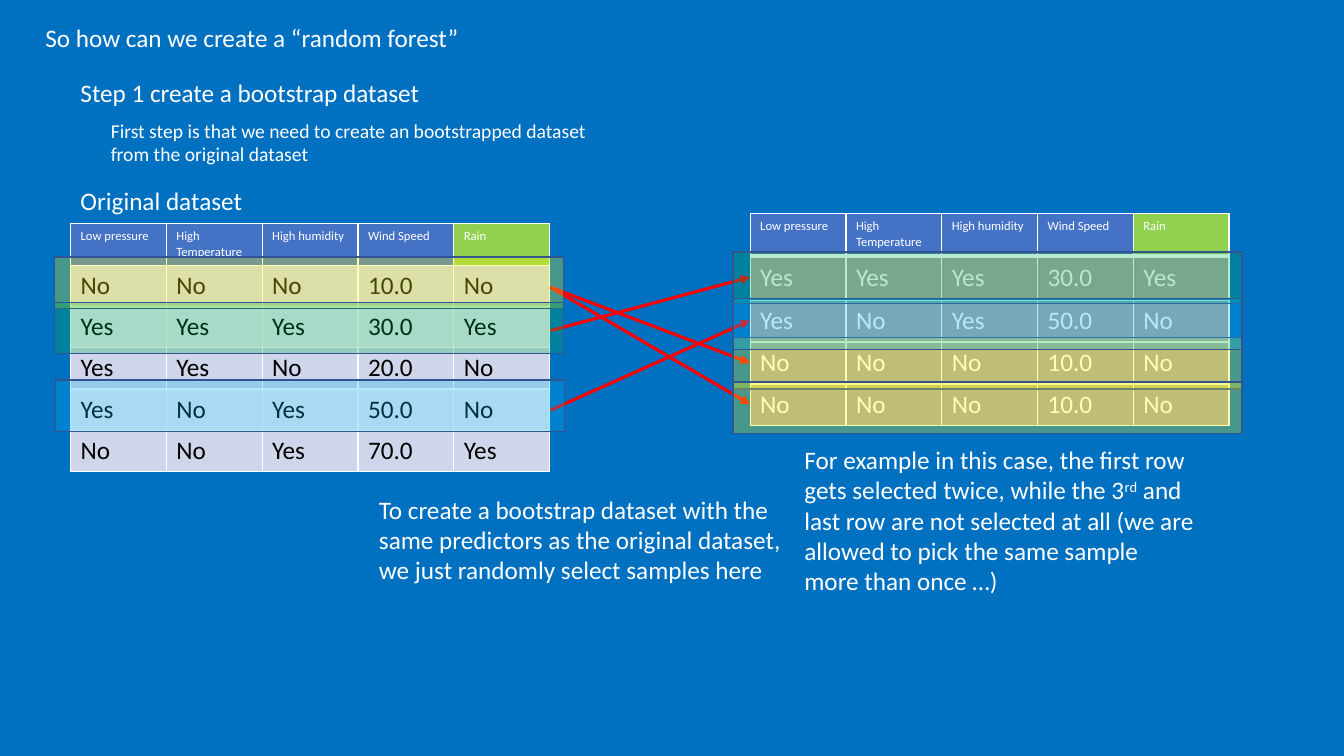
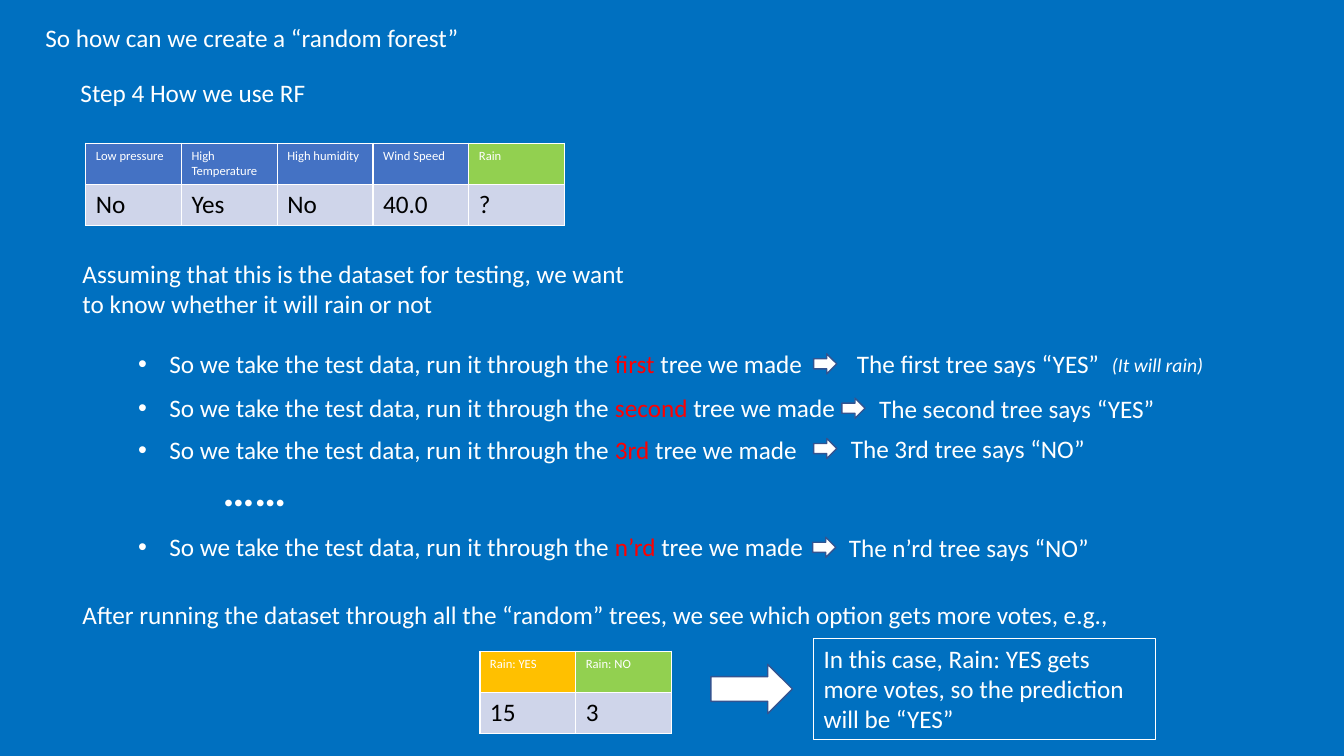
from lxml import etree
from pptx import Presentation
from pptx.dml.color import RGBColor
from pptx.enum.shapes import MSO_CONNECTOR, MSO_SHAPE
from pptx.enum.text import MSO_ANCHOR, MSO_AUTO_SIZE, PP_ALIGN
from pptx.oxml.ns import qn
from pptx.util import Inches, Pt

RECT, ARROW = MSO_SHAPE.RECTANGLE, MSO_SHAPE.RIGHT_ARROW
STRAIGHT = MSO_CONNECTOR.STRAIGHT
TOP, LEFT, NO_FIT = MSO_ANCHOR.TOP, PP_ALIGN.LEFT, MSO_AUTO_SIZE.NONE
TITLE_ONLY, TITLE_AND_BODY = 5, 1

COLORS = {
    "back": "0070C0", "white": "FFFFFF", "black": "000000", "red": "FF0000",
    "head": "4472C4", "target": "92D050", "amber": "FFC000",
    "band1": "CFD5EA", "band2": "E9EBF5", "gray": "A6A6A6",
    "yellow": "FFFF00", "green": "00B050", "sky": "00B0F0", "edge": "325491",
}
FONT = {"name": "Calibri", "size": 18, "bold": False, "italic": False, "color": "white"}
FRAME = {"word_wrap": True, "auto_size": NO_FIT, "vertical_anchor": TOP}
PARA = {"alignment": LEFT, "space_before": Pt(0)}
TITLE = "So how can we create a “random forest”"
HEADERS = ["Low pressure", "High Temperature", "High humidity", "Wind Speed", "Rain"]
HEAD_FILLS = ["head"] * 4 + ["target"]
COL_W, ROW_H = 0.95, 0.41


def rgb(name):
    return RGBColor.from_string(COLORS[name])


def set_values(target, values):
    for key, value in values.items():
        setattr(target, key, value)


def box(left, top, width, height):
    return [Inches(v) for v in (left, top, width, height)]


class Deck:
    def __init__(self):
        self.prs = Presentation()
        self.prs.slide_width, self.prs.slide_height = Inches(13.33), Inches(7.5)
        fill = self.prs.slide_master.background.fill
        fill.solid()
        fill.fore_color.rgb = rgb("back")

    def slide(self, layout, step):
        self.s = self.prs.slides.add_slide(self.prs.slide_layouts[layout])
        self.place(self.s.shapes.title, 0.35, 0.17, 4.6, 0.4)
        self.runs(self.s.shapes.title.text_frame.paragraphs[0], TITLE)
        self.text(step, 0.7, 0.72, 4)

    def place(self, sp, *at):
        sp.left, sp.top, sp.width, sp.height = box(*at)
        set_values(sp.text_frame, FRAME)

    def runs(self, p, content, **style):
        set_values(p, PARA)
        parts = [(content, {})] if isinstance(content, str) else content
        for text, extra in parts:
            values = {**FONT, **style, **extra}
            r = p.add_run()
            r.text = text
            r.font.color.rgb = rgb(values.pop("color"))
            values["size"] = Pt(values["size"])
            base = values.pop("baseline", None)
            set_values(r.font, values)
            if base:
                r._r.get_or_add_rPr().set("baseline", str(base * 1000))

    def text(self, content, left, top, width, height=0.4, **style):
        sp = self.s.shapes.add_textbox(*box(left, top, width, height))
        set_values(sp.text_frame, FRAME)
        self.runs(sp.text_frame.paragraphs[0], content, **style)
        return sp

    def bullets(self, items, gaps, *at):
        sp = self.s.placeholders[1]
        self.place(sp, *at)
        tf = sp.text_frame
        for i, (item, gap) in enumerate(zip(items, gaps)):
            p = tf.add_paragraph() if i else tf.paragraphs[0]
            self.runs(p, item)
            p.space_before = Pt(gap)
            pPr = p._p.get_or_add_pPr()
            pPr.set("marL", str(Inches(0.31)))
            pPr.set("indent", str(-Inches(0.31)))
            etree.SubElement(pPr, qn("a:buFont")).set("typeface", "Arial")
            etree.SubElement(pPr, qn("a:buChar")).set("char", "•")

    def table(self, rows, fills, left, top, head=True, color="black"):
        cols = len(rows[0])
        at = box(left, top, COL_W * cols, ROW_H * len(rows))
        tbl = self.s.shapes.add_table(len(rows), cols, *at).table
        for row, values, row_fills in zip(tbl.rows, rows, fills):
            is_head = head and values is rows[0]
            style = {"size": 9} if is_head else {"color": color}
            for cell, value, fill in zip(row.cells, values, row_fills):
                cell.fill.solid()
                cell.fill.fore_color.rgb = rgb(fill)
                self.runs(cell.text_frame.paragraphs[0], value, **style)

    def shape(self, kind, fill, *at, alpha=None):
        sp = self.s.shapes.add_shape(kind, *box(*at))
        sp.shadow.inherit = False
        sp.fill.solid()
        sp.fill.fore_color.rgb = rgb(fill)
        sp.line.color.rgb = rgb("edge")
        sp.line.width = Pt(1)
        if alpha:
            clr = sp._element.spPr.find(qn("a:solidFill"))[0]
            etree.SubElement(clr, qn("a:alpha")).set("val", str(alpha * 1000))

    def arrow(self, x1, y1, x2, y2):
        cn = self.s.shapes.add_connector(STRAIGHT, *box(x1, y1, x2, y2))
        cn.line.color.rgb = rgb("red")
        cn.line.width = Pt(2.25)
        spPr = cn._element.spPr
        etree.SubElement(spPr.find(qn("a:ln")), qn("a:tailEnd")).set("type", "triangle")
        etree.SubElement(spPr, qn("a:effectLst"))


def bootstrap_slide(deck):
    deck.slide(TITLE_ONLY, "Step 1 create a bootstrap dataset")
    data = [
        ["No", "No", "No", "10.0", "No"],
        ["Yes", "Yes", "Yes", "30.0", "Yes"],
        ["Yes", "Yes", "No", "20.0", "No"],
        ["Yes", "No", "Yes", "50.0", "No"],
        ["No", "No", "Yes", "70.0", "Yes"],
    ]
    bands = [[("band1", "band2")[i % 2]] * 5 for i in range(len(data))]
    deck.text("First step is that we need to create an bootstrapped dataset from the original dataset",
              1, 1.13, 5.12, 0.57, size=14)
    deck.text("Original dataset", 0.7, 1.79, 2)
    deck.table([HEADERS] + data, [HEAD_FILLS] + bands, 0.7, 2.22)
    deck.table([HEADERS], [HEAD_FILLS], 7.44, 2.12)

    marks = {0: ("yellow", 0.54, 2.55, 2.85), 1: ("green", 0.54, 3, 3.28), 3: ("sky", 0.55, 3.77, 4.07)}
    picks = [(1, 2.55, 2.5), (3, 2.98, 2.96), (0, 3.4, 3.35), (0, 3.81, 3.79)]
    for row, top, _ in picks:
        deck.table([data[row]], [["gray"] * 5], 7.44, top, head=False, color="white")
        deck.arrow(5.46, marks[row][3], 7.44, top + 0.2)
    deck.text("To create a bootstrap dataset with the same predictors as the original dataset, "
              "we just randomly select samples here", 3.66, 4.85, 4.22, 1.01)
    deck.text([("For example in this case, the first row gets selected twice, while the 3", {}),
               ("rd", {"baseline": 30}),
               (" and last row are not selected at all (we are allowed to pick the same sample "
                "more than once …)", {})], 7.88, 4.36, 4.06, 1.62)
    for row, (color, left, top, _) in marks.items():
        spots = [(left, top)] + [(7.27, mark) for pick, _, mark in picks if pick == row]
        for x, y in spots:
            deck.shape(RECT, color, x, y, 5.05, 0.51, alpha=28)


def voting_slide(deck):
    deck.slide(TITLE_AND_BODY, "Step 4 How we use RF")
    deck.table([HEADERS, ["No", "Yes", "No", "40.0", "?"]], [HEAD_FILLS, ["band1"] * 5], 0.85, 1.42)
    deck.text("Assuming that this is the dataset for testing, we want to know whether it will rain or not",
              0.72, 2.51, 5.64, 0.71)

    trees = [
        ("first", "YES", 8.07, 8.4, 3.41),
        ("second", "YES", 8.35, 8.62, 3.85),
        ("3rd", "NO", 8.07, 8.34, 4.25),
        ("n’rd", "NO", 8.06, 8.32, 5.23),
    ]
    items = [[("So we take the test data, run it through the ", {}),
              (tree[0], {"color": "red"}), (" tree we made", {})] for tree in trees]
    deck.bullets(items, [0, 9.7, 8.3, 47.9], 1.27, 3.41, 7.3, 2.23)
    for name, vote, arrow_x, text_x, top in trees:
        deck.shape(ARROW, "white", arrow_x, top + 0.1, 0.23, 0.2)
        deck.text(f"The {name} tree says “{vote}”", text_x, top, 3.2)
    deck.text("(It will rain)", 10.93, 3.45, 1.3, 0.34, size=14, italic=True)
    deck.text("……", 2.11, 4.53, 1, 0.64, size=32, bold=True)

    deck.text("After running the dataset through all the “random” trees, we see which option "
              "gets more votes, e.g.,", 0.72, 5.9, 10.8)
    deck.table([["Rain: YES", "Rain: NO"], ["15", "3"]], [["amber", "target"], ["band1"] * 2], 4.76, 6.46)
    deck.shape(ARROW, "white", 7.05, 6.59, 0.81, 0.49)
    sp = deck.text("In this case, Rain: YES gets more votes, so the prediction will be “YES”",
                   8.07, 6.33, 3.39, 1.01)
    sp.line.color.rgb = rgb("white")
    sp.line.width = Pt(0.75)


def main():
    deck = Deck()
    bootstrap_slide(deck)
    voting_slide(deck)
    deck.prs.save("out.pptx")


if __name__ == "__main__":
    main()
